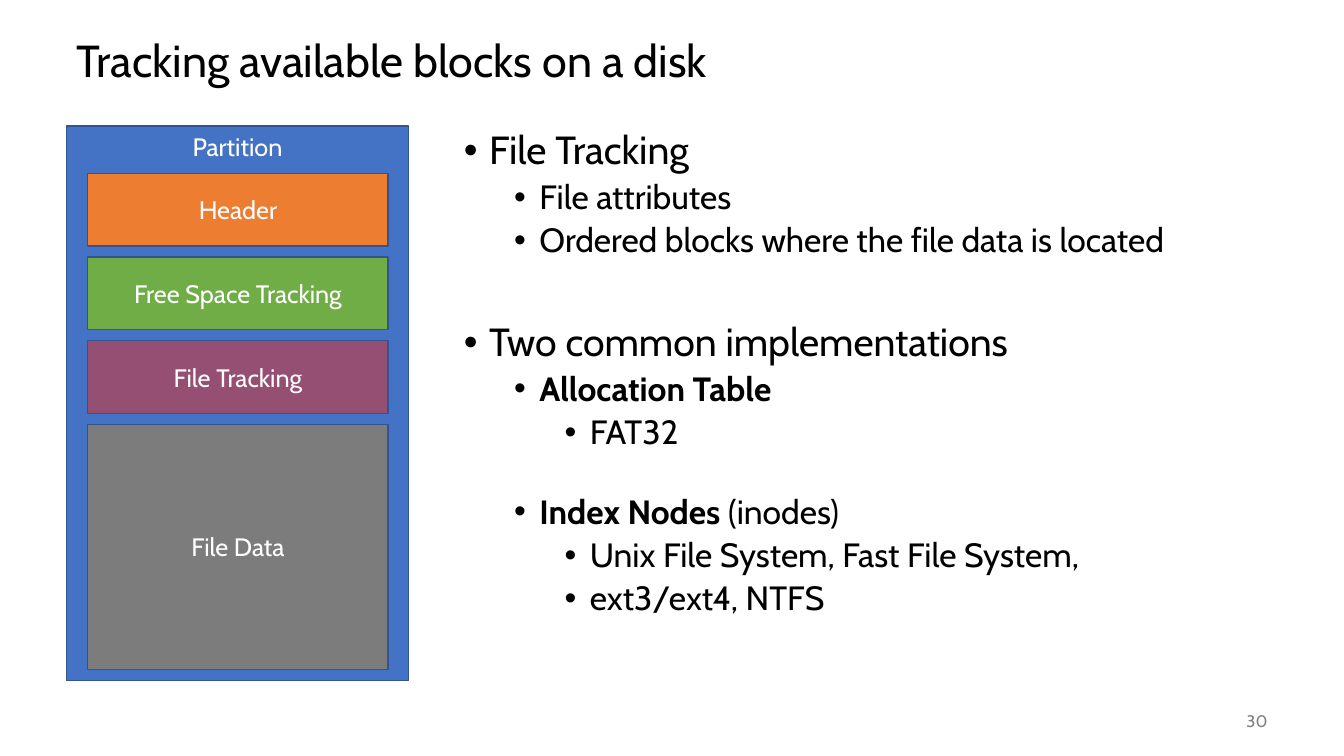
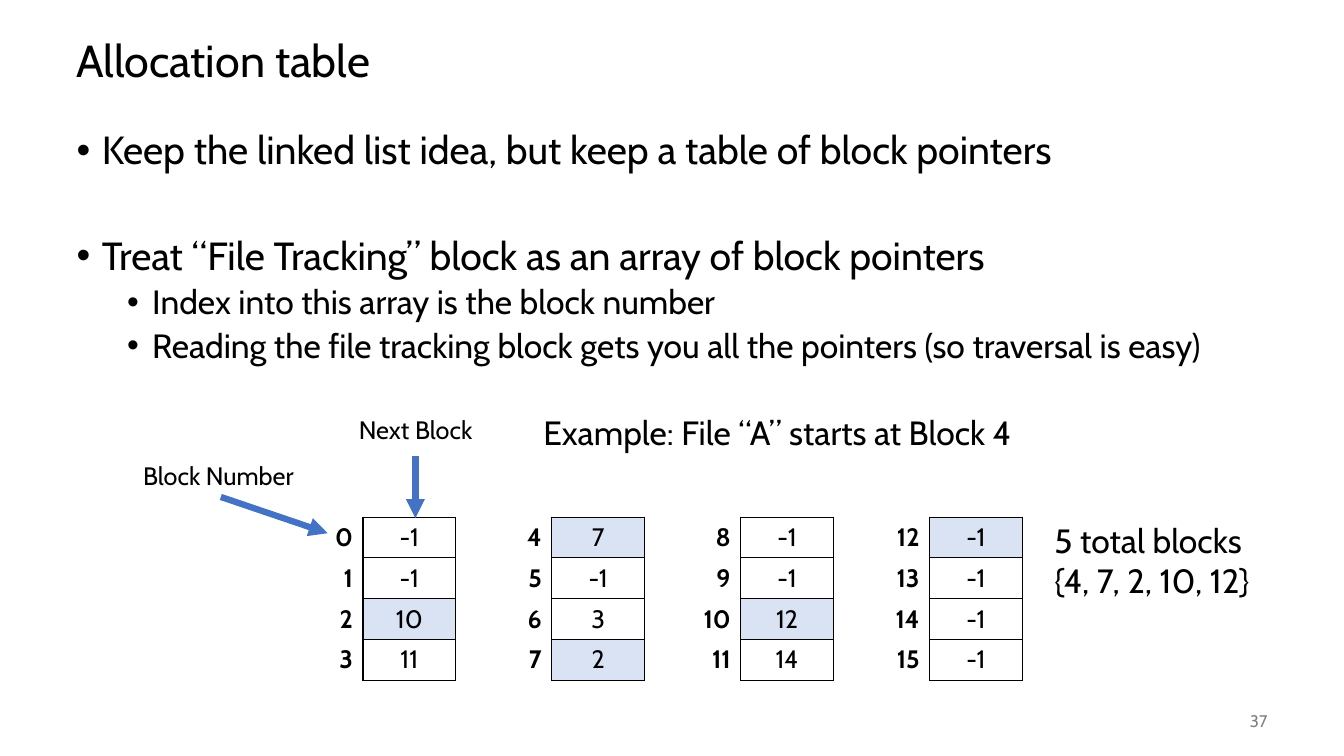
"""Build two slides on tracking file blocks on a disk."""

import dataclasses
import typing

import lxml.etree
import pptx
import pptx.dml.color
import pptx.enum.shapes
import pptx.enum.text
import pptx.oxml.ns
import pptx.shapes.autoshape
import pptx.slide
import pptx.text.text
import pptx.util

Inches = pptx.util.Inches
Pt = pptx.util.Pt
qn = pptx.oxml.ns.qn
Align = pptx.enum.text.PP_ALIGN
Anchor = pptx.enum.text.MSO_ANCHOR
Box = tuple[float, float, float, float]


@dataclasses.dataclass(frozen=True)
class Theme:
    """Colours, font and type sizes shared by the slides."""

    font: str = "Cabin"
    text: str = "000000"
    paper: str = "FFFFFF"
    muted: str = "808080"
    blue: str = "4472C4"
    outline: str = "325491"
    orange: str = "ED7D31"
    green: str = "70AD47"
    plum: str = "954F72"
    gray: str = "7C7C7C"
    highlight: str = "DAE3F3"
    title_size: int = 32
    lead_size: int = 28
    point_size: int = 24
    label_size: int = 18
    number_size: int = 12


THEME = Theme()


@dataclasses.dataclass(frozen=True)
class Bullet:
    """One list line, with an optional bold start and a wider gap above."""

    text: str
    level: int = 0
    strong: str = ""
    extra_gap: int = 0


@dataclasses.dataclass(frozen=True)
class Region:
    """One labelled part of the partition."""

    label: str
    color: str
    height: float


@dataclasses.dataclass(frozen=True)
class Label:
    """One free-standing text."""

    text: str
    box: Box
    size: int


@dataclasses.dataclass(frozen=True)
class Arrow:
    """One arrow from a start point to an end point."""

    start: tuple[float, float]
    end: tuple[float, float]


TRACKING_BULLETS = (
    Bullet("File Tracking"),
    Bullet("File attributes", 1),
    Bullet("Ordered blocks where the file data is located", 1),
    Bullet("Two common implementations", extra_gap=31),
    Bullet("", 1, strong="Allocation Table"),
    Bullet("FAT32", 2),
    Bullet("(inodes)", 1, strong="Index Nodes ", extra_gap=26),
    Bullet("Unix File System, Fast File System,", 2),
    Bullet("ext3/ext4, NTFS", 2),
)
TABLE_BULLETS = (
    Bullet("Keep the linked list idea, but keep a table of block pointers"),
    Bullet("Treat “File Tracking” block as an array of block pointers", extra_gap=31),
    Bullet("Index into this array is the block number", 1),
    Bullet("Reading the file tracking block gets you all the pointers (so traversal is easy)", 1),
)
REGIONS = (
    Region("Header", THEME.orange, 0.72),
    Region("Free Space Tracking", THEME.green, 0.72),
    Region("File Tracking", THEME.plum, 0.72),
    Region("File Data", THEME.gray, 2.43),
)
NEXT_BLOCKS = (-1, -1, 10, 11, 7, -1, 3, 2, -1, -1, 12, 14, -1, -1, -1, -1)
FILE_BLOCKS = (4, 7, 2, 10, 12)
ROWS_PER_TABLE = 4
LABELS = (
    Label("Block Number", (1.32, 4.52, 1.75, 0.4), THEME.label_size),
    Label("Next Block", (3.46, 4.06, 1.75, 0.4), THEME.label_size),
    Label("Example: File “A” starts at Block 4", (5.29, 4.04, 5.43, 0.5), THEME.point_size),
    Label("5 total blocks\n{4, 7, 2, 10, 12}", (10.36, 5.11, 2.61, 0.91), THEME.point_size),
)
ARROWS = (Arrow((2.19, 4.93), (3.25, 5.29)), Arrow((4.12, 4.52), (4.12, 5.14)))


def rgb(color: str) -> pptx.dml.color.RGBColor:
    """Turn a hexadecimal colour into a colour object."""
    return pptx.dml.color.RGBColor.from_string(color)


def place(shape: typing.Any, box: Box) -> None:
    """Move and size a shape."""
    shape.left, shape.top, shape.width, shape.height = map(Inches, box)


def write(
    paragraph: pptx.text.text._Paragraph,
    text: str,
    *,
    size: int,
    color: str = THEME.text,
    bold: bool = False,
    align: Align = Align.LEFT,
) -> None:
    """Add a formatted run to a paragraph."""
    paragraph.alignment = align
    run = paragraph.add_run()
    run.text = text
    run.font.name = THEME.font
    run.font.size = Pt(size)
    run.font.bold = bold
    run.font.color.rgb = rgb(color)


def next_paragraph(frame: pptx.text.text.TextFrame, index: int) -> pptx.text.text._Paragraph:
    """Return the first paragraph of a frame, or a new one after it."""
    return frame.add_paragraph() if index else frame.paragraphs[0]


def add_label(
    slide: pptx.slide.Slide, label: Label, anchor: Anchor = Anchor.TOP, **style: typing.Any
) -> None:
    """Add a text box with one paragraph for each line."""
    frame = slide.shapes.add_textbox(*map(Inches, label.box)).text_frame
    frame.word_wrap = True
    frame.vertical_anchor = anchor
    for index, line in enumerate(label.text.split("\n")):
        write(next_paragraph(frame, index), line, size=label.size, **style)


def fill_bullets(frame: pptx.text.text.TextFrame, bullets: tuple[Bullet, ...]) -> None:
    """Write a bulleted list."""
    frame.auto_size = pptx.enum.text.MSO_AUTO_SIZE.NONE
    for index, bullet in enumerate(bullets):
        paragraph = next_paragraph(frame, index)
        paragraph.level = bullet.level
        properties = paragraph._p.get_or_add_pPr()
        properties.set("marL", str(Inches(0.25 + 0.5 * bullet.level)))
        properties.set("indent", str(Inches(-0.25)))
        lxml.etree.SubElement(properties, qn("a:buChar"), char="•")
        paragraph.line_spacing = 0.9
        gap = (5 if bullet.level else 14) + bullet.extra_gap
        paragraph.space_before = Pt(gap if index else 0)
        size = THEME.point_size if bullet.level else THEME.lead_size
        for text, bold in ((bullet.strong, True), (bullet.text, False)):
            if text:
                write(paragraph, text, size=size, bold=bold)


def add_page(
    presentation: typing.Any, title: str, number: int, body_box: Box, bullets: tuple[Bullet, ...]
) -> pptx.slide.Slide:
    """Add a slide with title, list and page number."""
    slide = presentation.slides.add_slide(presentation.slide_layouts[1])
    heading, body = slide.placeholders
    place(heading, (0.66, 0.25, 12, 0.75))
    heading.text_frame.auto_size = pptx.enum.text.MSO_AUTO_SIZE.NONE
    heading.text_frame.vertical_anchor = Anchor.MIDDLE
    paragraph = heading.text_frame.paragraphs[0]
    paragraph.line_spacing = 0.9
    write(paragraph, title, size=THEME.title_size)
    place(body, body_box)
    fill_bullets(body.text_frame, bullets)
    page_number = Label(str(number), (11.67, 6.95, 1, 0.4), THEME.number_size)
    add_label(slide, page_number, Anchor.MIDDLE, color=THEME.muted, align=Align.RIGHT)
    return slide


def add_block(shapes: typing.Any, text: str, box: Box, color: str, anchor: Anchor) -> None:
    """Add a filled rectangle with a centred label."""
    block = shapes.add_shape(pptx.enum.shapes.MSO_SHAPE.RECTANGLE, *map(Inches, box))
    block.shadow.inherit = False
    block.fill.solid()
    block.fill.fore_color.rgb = rgb(color)
    block.line.color.rgb = rgb(THEME.outline)
    block.line.width = Pt(1)
    block.text_frame.word_wrap = True
    block.text_frame.vertical_anchor = anchor
    paragraph = block.text_frame.paragraphs[0]
    write(paragraph, text, size=THEME.label_size, color=THEME.paper, align=Align.CENTER)


def add_partition(slide: pptx.slide.Slide) -> None:
    """Draw the partition with its stacked regions."""
    shapes = slide.shapes.add_group_shape().shapes
    add_block(shapes, "Partition", (0.66, 1.25, 3.39, 5.5), THEME.blue, Anchor.TOP)
    top = 1.72
    for region in REGIONS:
        box = (0.87, top, 2.98, region.height)
        add_block(shapes, region.label, box, region.color, Anchor.MIDDLE)
        top += region.height + 0.11


def fill_cell(cell: typing.Any, value: int, color: str, sides: str, **style: typing.Any) -> None:
    """Write a table cell with its fill and black borders."""
    properties = cell._tc.get_or_add_tcPr()
    for side in sides:
        line = lxml.etree.SubElement(properties, qn(f"a:ln{side}"), w=str(Pt(1)))
        solid = lxml.etree.SubElement(line, qn("a:solidFill"))
        lxml.etree.SubElement(solid, qn("a:srgbClr"), val=THEME.text)
    cell.fill.solid()
    cell.fill.fore_color.rgb = rgb(color)
    write(cell.text_frame.paragraphs[0], str(value), size=THEME.label_size, **style)


def add_block_table(slide: pptx.slide.Slide, first_block: int, left: float) -> None:
    """Add a table of block numbers and next blocks."""
    box = map(Inches, (left, 5.13, 1.45, 1.62))
    table = slide.shapes.add_table(ROWS_PER_TABLE, 2, *box).table
    table.first_row = table.horz_banding = False
    for column, width in zip(table.columns, (0.53, 0.92)):
        column.width = Inches(width)
    for row in range(ROWS_PER_TABLE):
        block = first_block + row
        color = THEME.highlight if block in FILE_BLOCKS else THEME.paper
        fill_cell(table.cell(row, 0), block, THEME.paper, "R", bold=True, align=Align.RIGHT)
        fill_cell(table.cell(row, 1), NEXT_BLOCKS[block], color, "LRTB", align=Align.CENTER)


def add_arrow(slide: pptx.slide.Slide, arrow: Arrow) -> None:
    """Add a thick blue arrow."""
    points = map(Inches, (*arrow.start, *arrow.end))
    connector = slide.shapes.add_connector(pptx.enum.shapes.MSO_CONNECTOR.STRAIGHT, *points)
    connector.line.color.rgb = rgb(THEME.blue)
    connector.line.width = Pt(4.5)
    lxml.etree.SubElement(connector.line._get_or_add_ln(), qn("a:tailEnd"), type="triangle")
    lxml.etree.SubElement(connector._element.spPr, qn("a:effectLst"))


def main() -> None:
    """Build and save the presentation."""
    presentation = pptx.Presentation()
    presentation.slide_width = Inches(13.33)
    presentation.slide_height = Inches(7.5)

    title = "Tracking available blocks on a disk"
    tracking = add_page(presentation, title, 30, (4.5, 1.25, 8.16, 5.5), TRACKING_BULLETS)
    add_partition(tracking)

    body_box = (0.66, 1.25, 12.31, 5.5)
    allocation = add_page(presentation, "Allocation table", 37, body_box, TABLE_BULLETS)
    first_left, last_left = 3.07, 8.69
    pitch = (last_left - first_left) / 3
    for index in range(4):
        add_block_table(allocation, index * ROWS_PER_TABLE, first_left + index * pitch)
    for label in LABELS:
        add_label(allocation, label)
    for arrow in ARROWS:
        add_arrow(allocation, arrow)
    presentation.save("out.pptx")


if __name__ == "__main__":
    main()
